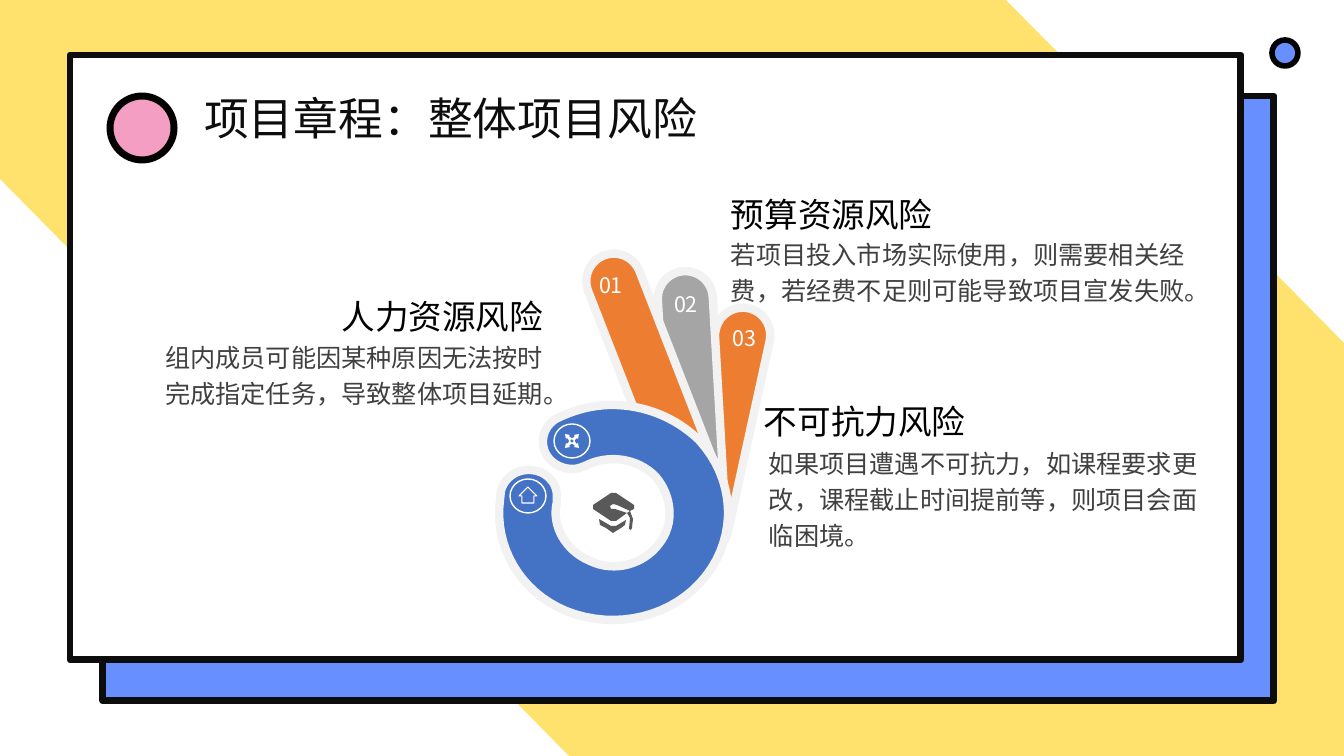
import pptx
import pptx.util
import pptx.dml.color
import pptx.enum.shapes
import pptx.enum.text
import pptx.oxml.ns
import lxml.etree

TITLE = "项目章程：整体项目风险"
JP, SC = "Noto Sans CJK JP", "Noto Sans CJK SC"

BACKDROP = [(1006, 0), (0, 0), (0, 179), (569, 756), (1344, 756), (1344, 343)]
FRAME = [
    ("RECTANGLE", (103, 96, 1171, 605), "678FFF", "0D0D0D", 5),
    ("RECTANGLE", (70, 55, 1171, 605), "FFFFFF", "0D0D0D", 5),
    ("OVAL", (110, 96, 64, 64), "F39EC2", "000000", 5),
    ("OVAL", (1272, 40, 26, 26), "678FFF", "000000", 4),
]
FINGERS = [
    ((597, 403, 250, 55), 102.3, "ED7D31"),
    ((557, 378, 269, 55), 86.7, "A5A5A5"),
    ((515, 358, 279, 55), 68.7, "ED7D31"),
]
RING = [
    (612, 405),
    [(644, 405), (675, 417), (699, 440)],
    [(735, 479), (738, 535), (706, 576)],
    [(674, 617), (616, 631), (566, 611)],
    [(520, 592), (494, 546), (500, 500)],
    (501, 491),
    [(504, 479), (515, 470), (529, 470)],
    [(545, 470), (557, 482), (557, 496)],
    (557, 502),
    [(551, 526), (566, 551), (590, 561)],
    [(615, 573), (644, 564), (659, 544)],
    [(675, 524), (672, 496), (656, 477)],
    [(638, 458), (608, 454), (585, 466)],
    [(580, 468), (576, 469), (573, 469)],
    [(556, 469), (543, 457), (543, 442)],
    [(543, 432), (548, 424), (556, 419)],
    [(574, 410), (593, 405), (612, 405)],
]
CAP = [
    [(634, 505), (616, 493), (611, 493), (593, 505), (593, 509), (611, 521),
     (616, 521), (627, 513), (615, 509), (611, 509), (610, 506), (613, 504),
     (617, 505), (630, 511), (634, 509)],
    [(599, 519), (600, 525), (606, 528), (613, 533), (621, 528), (625, 525),
     (626, 520), (616, 526), (611, 526)],
    [(630, 511), (627, 513), (630, 518), (629, 529), (631, 530), (632, 528), (633, 519)],
]
HOUSE = [(528, 487), (537, 496), (534, 496), (534, 503), (522, 503), (522, 496), (519, 496)]
EXPAND_CENTER = (572, 441)
EXPAND_QUARTER = [(-3, -1), (-5, -3), (-6, -2), (-7, -7), (-2, -6), (-3, -5), (-1, -3)]
EXPAND_HOLE = [(-2, 0), (0, -2), (2, 0), (0, 2)]
BADGES = [(510, 479, 36, 34), (554, 424, 36, 34)]

NUMBERS = [
    ("01", (593, 269, 36, 31)),
    ("02", (667, 288, 38, 31)),
    ("03", (725, 322, 39, 31)),
]
RISKS = [
    ("人力资源风险", (262, 283, 291, 54),
     "组内成员可能因某种原因无法按时完成指定任务，导致整体项目延期。", (133, 331, 420, 84), "RIGHT"),
    ("预算资源风险", (721, 181, 341, 54),
     "若项目投入市场实际使用，则需要相关经费，若经费不足则可能导致项目宣发失败。",
     (721, 228, 492, 84), "LEFT"),
    ("不可抗力风险", (754, 388, 314, 54),
     "如果项目遭遇不可抗力，如课程要求更改，课程截止时间提前等，则项目会面临困境。",
     (759, 437, 454, 118), "LEFT"),
]

PX = pptx.util.Inches(1) / 100.8


def emu(*values):
    return [round(v * PX) for v in values]


def rgb(value):
    return pptx.dml.color.RGBColor.from_string(value)


def paint(sp, fill=None, line=None, width=1):
    sp.shadow.inherit = False
    if fill:
        sp.fill.solid()
        sp.fill.fore_color.rgb = rgb(fill)
    else:
        sp.fill.background()
    if line:
        sp.line.color.rgb = rgb(line)
        sp.line.width = pptx.util.Pt(width)
    else:
        sp.line.fill.background()


def preset(s, kind, box, *style):
    shape_type = getattr(pptx.enum.shapes.MSO_SHAPE, kind)
    sp = s.shapes.add_shape(shape_type, *emu(*box))
    paint(sp, *style)
    return sp


def outline(s, contours, *style):
    fb = s.shapes.build_freeform(*emu(*contours[0][0]), scale=1.0)
    for i, contour in enumerate(contours):
        if i:
            fb.move_to(*emu(*contour[0]))
        fb.add_line_segments([tuple(emu(*pt)) for pt in contour[1:]], close=True)
    paint(fb.convert_to_shape(), *style)


def flatten(segments, steps=16):
    points = []
    for seg in segments:
        if isinstance(seg, tuple):
            points.append(seg)
            continue
        a, (b, c, d) = points[-1], seg
        for i in range(1, steps + 1):
            t = i / steps
            u = 1 - t
            points.append(tuple(
                u**3 * a[k] + 3 * u * u * t * b[k] + 3 * u * t * t * c[k] + t**3 * d[k]
                for k in (0, 1)))
    return points


def write(sp, text, size, font, color, align="LEFT", anchor="TOP", wrap=True, spacing=1.0):
    tf = sp.text_frame
    tf.text = text
    tf.word_wrap = wrap
    tf.auto_size = pptx.enum.text.MSO_AUTO_SIZE.NONE
    tf.vertical_anchor = getattr(pptx.enum.text.MSO_ANCHOR, anchor)
    p = tf.paragraphs[0]
    p.alignment = getattr(pptx.enum.text.PP_ALIGN, align)
    p.line_spacing = spacing
    r = p.runs[0]
    r.font.size = pptx.util.Pt(size)
    r.font.color.rgb = rgb(color)
    r.font.name = font
    rPr = r.font._element
    rPr.set("lang", "zh-CN")
    lxml.etree.SubElement(rPr, pptx.oxml.ns.qn("a:ea")).set("typeface", font)


def label(s, box, *args, **kwargs):
    write(s.shapes.add_textbox(*emu(*box)), *args, **kwargs)


def main():
    prs = pptx.Presentation()
    prs.slide_width, prs.slide_height = emu(1344, 756)
    s = prs.slides.add_slide(prs.slide_layouts[5])

    outline(s, [BACKDROP], "FFE26D")
    for kind, box, *style in FRAME:
        preset(s, kind, box, *style)

    title = s.shapes.title
    title.left, title.top, title.width, title.height = emu(194, 86, 582, 119)
    write(title, TITLE, 32, JP, "0D0D0D")
    title.element.getparent().append(title.element)

    for box, angle, fill in FINGERS:
        sp = preset(s, "ROUNDED_RECTANGLE", box, fill, "F2F2F2", 6)
        sp.adjustments[0] = 0.5
        sp.rotation = angle
    outline(s, [flatten(RING)], "4472C4", "F2F2F2", 6)
    outline(s, CAP, "595959")
    for box in BADGES:
        preset(s, "OVAL", box, None, "FFFFFF", 1)
    outline(s, [HOUSE], None, "FFFFFF", 0.75)

    arrows, quarter = [], EXPAND_QUARTER
    for _ in range(4):
        arrows += quarter
        quarter = [(-y, x) for x, y in quarter]
    cx, cy = EXPAND_CENTER
    outline(s, [[(cx + x, cy + y) for x, y in c] for c in (arrows, EXPAND_HOLE)], "FFFFFF")

    for text, box in NUMBERS:
        label(s, box, text, 15.3, SC, "FFFFFF", "CENTER", "MIDDLE", False)
    for head, head_box, body, body_box, align in RISKS:
        label(s, body_box, body, 18, SC, "404040", align, spacing=1.2)
        label(s, head_box, head, 24, SC, "000000", align, spacing=1.2)

    prs.save("out.pptx")


if __name__ == "__main__":
    main()
